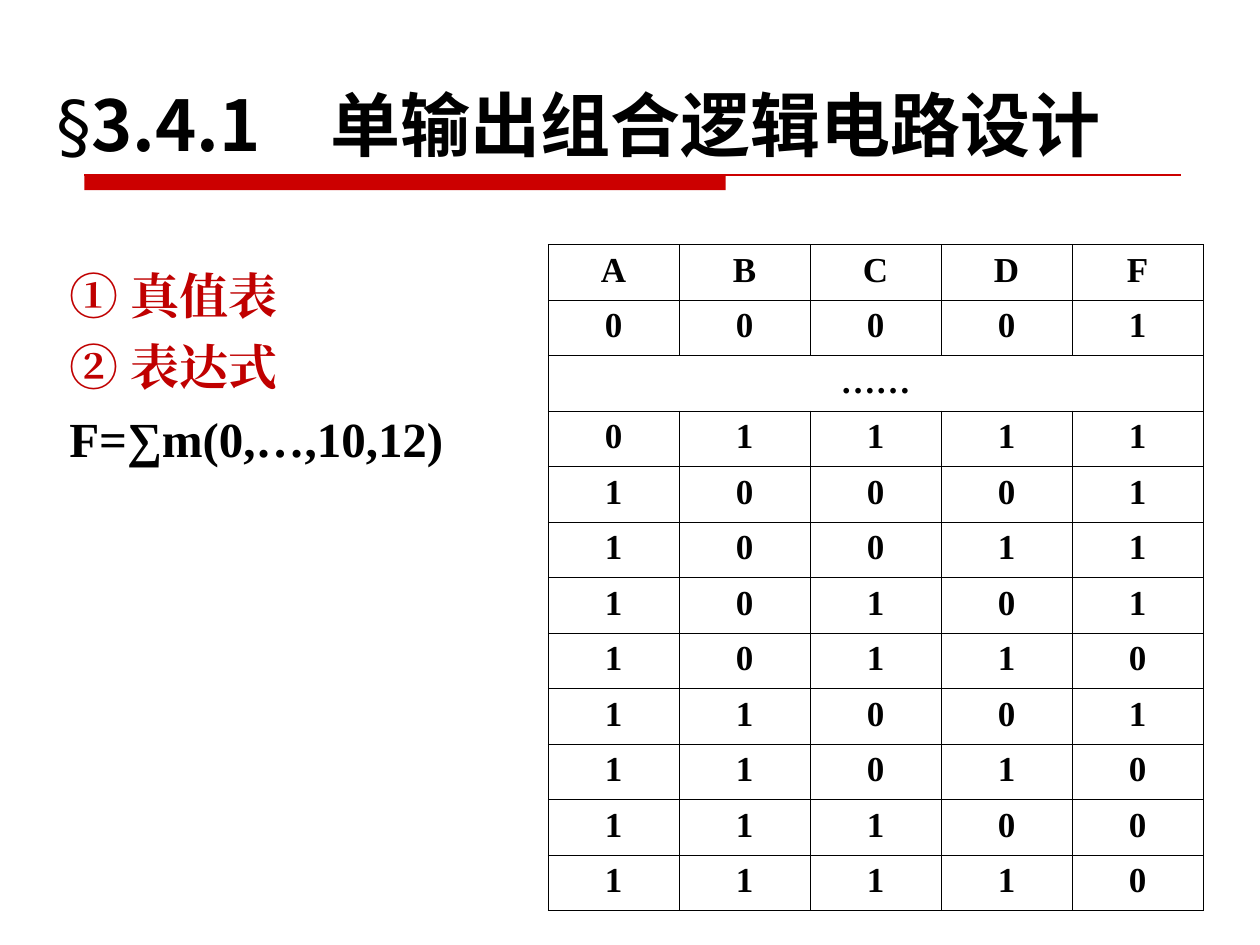
"""Build a slide on single-output combinational logic design with its truth table."""
import pptx
import pptx.dml.color
import pptx.enum.shapes
import pptx.enum.text
import pptx.oxml
import pptx.oxml.ns
import pptx.util
from pptx.util import Inches


def color(value):
    return pptx.dml.color.RGBColor.from_string(value)


def add_run(paragraph, text, size, latin, east_asian, fill, bold=True):
    run = paragraph.add_run()
    run.text = text
    run.font.size = pptx.util.Pt(size)
    run.font.name = latin
    run.font.bold = bold
    run.font.color.rgb = color(fill)
    typeface = pptx.oxml.parse_xml(
        f'<a:ea {pptx.oxml.ns.nsdecls("a")} typeface="{east_asian}"/>')
    run.font._element.find(pptx.oxml.ns.qn("a:latin")).addnext(typeface)


SERIF = "Times New Roman"
SANS = "DejaVu Sans"
CHINESE = "Noto Sans CJK SC"
BLACK, RED, DARK_RED, WHITE = "000000", "CC0000", "C00000", "FFFFFF"

presentation = pptx.Presentation()
presentation.slide_width = Inches(10)
presentation.slide_height = Inches(7.5)
slide = presentation.slides.add_slide(presentation.slide_layouts[1])

bar = slide.shapes.add_shape(
    pptx.enum.shapes.MSO_SHAPE.RECTANGLE,
    Inches(0.67), Inches(1.39), Inches(5.09), Inches(0.12))
bar.shadow.inherit = False
bar.fill.solid()
bar.fill.fore_color.rgb = color(RED)
bar.line.fill.background()

rule = slide.shapes.add_connector(
    pptx.enum.shapes.MSO_CONNECTOR.STRAIGHT,
    Inches(0.67), Inches(1.39), Inches(9.37), Inches(1.39))
rule.line.color.rgb = color(RED)
rule.line.width = pptx.util.Pt(0.75)
rule._element.spPr.append(
    pptx.oxml.parse_xml(f'<a:effectLst {pptx.oxml.ns.nsdecls("a")}/>'))

title = slide.shapes.title
title.left, title.top = Inches(0.35), Inches(0.34)
title.width, title.height = Inches(9.65), Inches(0.97)
title.text_frame.auto_size = pptx.enum.text.MSO_AUTO_SIZE.NONE
title.text_frame.vertical_anchor = pptx.enum.text.MSO_ANCHOR.BOTTOM
title.text_frame.margin_bottom = 0
paragraph = title.text_frame.paragraphs[0]
paragraph.alignment = pptx.enum.text.PP_ALIGN.LEFT
add_run(paragraph, "§", 40, SANS, CHINESE, BLACK, bold=False)
add_run(paragraph, "3.4.1　", 40, CHINESE, CHINESE, BLACK)
add_run(paragraph, "单输出组合逻辑电路设计", 40, SANS, CHINESE, BLACK)

steps = slide.placeholders[1]
steps.left, steps.top = Inches(0.45), Inches(1.96)
steps.width, steps.height = Inches(3.31), Inches(1.71)
steps.text_frame.auto_size = pptx.enum.text.MSO_AUTO_SIZE.NONE
steps.text_frame.margin_top = Inches(0.15)
step_lines = [("① 真值表", DARK_RED), ("② 表达式", DARK_RED), ("F=∑m(0,…,10,12)", BLACK)]
for index, (text, fill) in enumerate(step_lines):
    paragraph = steps.text_frame.paragraphs[0] if index == 0 else steps.text_frame.add_paragraph()
    paragraph.space_before = pptx.util.Pt(7 if index else 0)
    properties = paragraph._element.get_or_add_pPr()
    properties.set("marL", str(Inches(0.38)))
    properties.set("indent", str(Inches(-0.38)))
    properties.append(pptx.oxml.parse_xml(f'<a:buNone {pptx.oxml.ns.nsdecls("a")}/>'))
    add_run(paragraph, text, 28, SERIF, SERIF, fill)

truth_rows = ["ABCDF", "00001", ["……"], "01111", "10001", "10011",
              "10101", "10110", "11001", "11010", "11100", "11110"]
table = slide.shapes.add_table(
    len(truth_rows), 5, Inches(4.35), Inches(1.94), Inches(5.2), Inches(5.29)).table
table.first_row = False
table.horz_banding = False
for row_index, values in enumerate(truth_rows):
    for cell in table.rows[row_index].cells:
        cell.fill.solid()
        cell.fill.fore_color.rgb = color(WHITE)
        for position, side in enumerate(("lnL", "lnR", "lnT", "lnB")):
            border = pptx.oxml.parse_xml(
                f'<a:{side} {pptx.oxml.ns.nsdecls("a")} w="{pptx.util.Pt(0.45)}">'
                f'<a:solidFill><a:srgbClr val="{BLACK}"/></a:solidFill></a:{side}>')
            cell._tc.get_or_add_tcPr().insert(position, border)
    if len(values) == 1:
        table.cell(row_index, 0).merge(table.cell(row_index, 4))
    for column_index, value in enumerate(values):
        paragraph = table.cell(row_index, column_index).text_frame.paragraphs[0]
        paragraph.alignment = pptx.enum.text.PP_ALIGN.CENTER
        add_run(paragraph, value, 20, SERIF, SERIF, BLACK)

presentation.save("out.pptx")
